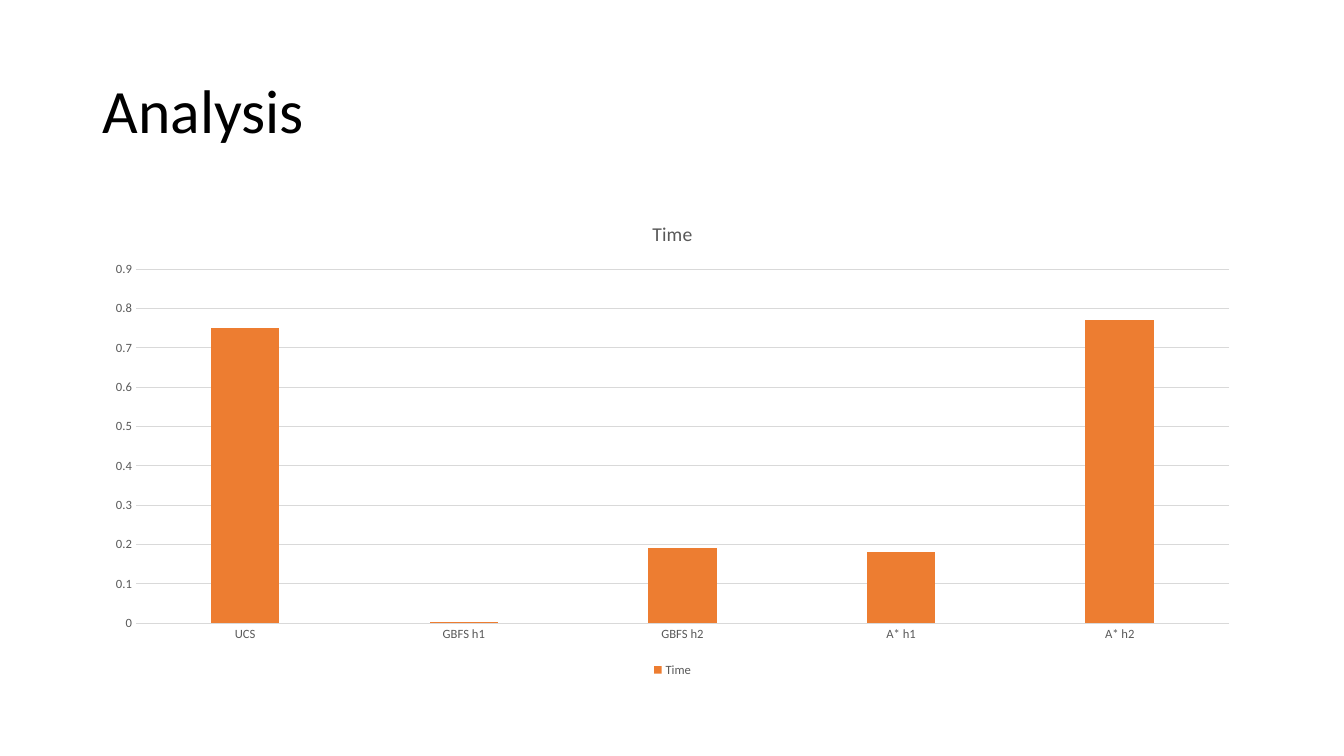
import pptx
import pptx.chart.data
import pptx.dml.color
import pptx.enum.chart
import pptx.enum.text
import pptx.util

Inches = pptx.util.Inches
Pt = pptx.util.Pt
FONT = "Calibri"
GREY = "595959"
LINE = "D9D9D9"
TIMES = {"UCS": 0.75, "GBFS h1": 0.004, "GBFS h2": 0.19, "A* h1": 0.18, "A* h2": 0.77}


def color(value):
    return pptx.dml.color.RGBColor.from_string(value)


def apply_format(target, values):
    for name, value in values.items():
        setattr(target, name, value)


def style_font(font, size, value):
    apply_format(font, {"name": FONT, "size": Pt(size), "bold": False})
    font.color.rgb = color(value)


def style_line(line):
    line.width = Pt(0.75)
    line.color.rgb = color(LINE)


def add_title(slide, box, text):
    text_frame = slide.shapes.add_textbox(*box).text_frame
    apply_format(text_frame, {
        "word_wrap": True,
        "vertical_anchor": pptx.enum.text.MSO_ANCHOR.MIDDLE,
    })
    paragraph = text_frame.paragraphs[0]
    paragraph.line_spacing = 0.9
    run = paragraph.add_run()
    run.text = text
    style_font(run.font, 44, "000000")


def style_axes(chart):
    for axis in (chart.category_axis, chart.value_axis):
        apply_format(axis, {
            "major_tick_mark": pptx.enum.chart.XL_TICK_MARK.NONE,
            "minor_tick_mark": pptx.enum.chart.XL_TICK_MARK.NONE,
        })
        style_font(axis.tick_labels.font, 9, GREY)
    style_line(chart.category_axis.format.line)
    apply_format(chart.value_axis, {
        "minimum_scale": 0,
        "maximum_scale": 0.9,
        "major_unit": 0.1,
        "has_major_gridlines": True,
    })
    chart.value_axis.format.line.fill.background()
    style_line(chart.value_axis.major_gridlines.format.line)


def add_time_chart(slide, box, name, times):
    chart_data = pptx.chart.data.CategoryChartData(number_format="General")
    chart_data.categories = list(times)
    chart_data.add_series(name, list(times.values()))
    chart = slide.shapes.add_chart(
        pptx.enum.chart.XL_CHART_TYPE.COLUMN_CLUSTERED, *box, chart_data
    ).chart
    style_font(chart.font, 10, "000000")
    apply_format(chart, {"has_title": True, "has_legend": True})

    title_frame = chart.chart_title.text_frame
    title_frame.text = name
    style_font(title_frame.paragraphs[0].runs[0].font, 14, GREY)
    chart.chart_title.include_in_layout = False

    apply_format(chart.legend, {
        "position": pptx.enum.chart.XL_LEGEND_POSITION.BOTTOM,
        "include_in_layout": False,
    })
    style_font(chart.legend.font, 9, GREY)
    style_axes(chart)

    plot = chart.plots[0]
    apply_format(plot, {"gap_width": 219, "overlap": -27, "vary_by_categories": False})
    fill = plot.series[0].format.fill
    fill.solid()
    fill.fore_color.rgb = color("ED7D31")


def build_analysis_slide(presentation):
    slide = presentation.slides.add_slide(presentation.slide_layouts[6])
    left, width = Inches(0.92), Inches(11.5)
    add_title(slide, (left, Inches(0.4), width, Inches(1.45)), "Analysis")
    add_time_chart(slide, (left, Inches(2), width, Inches(4.76)), "Time", TIMES)


presentation = pptx.Presentation()
apply_format(presentation, {"slide_width": Inches(13.33), "slide_height": Inches(7.5)})
build_analysis_slide(presentation)
presentation.save("out.pptx")
